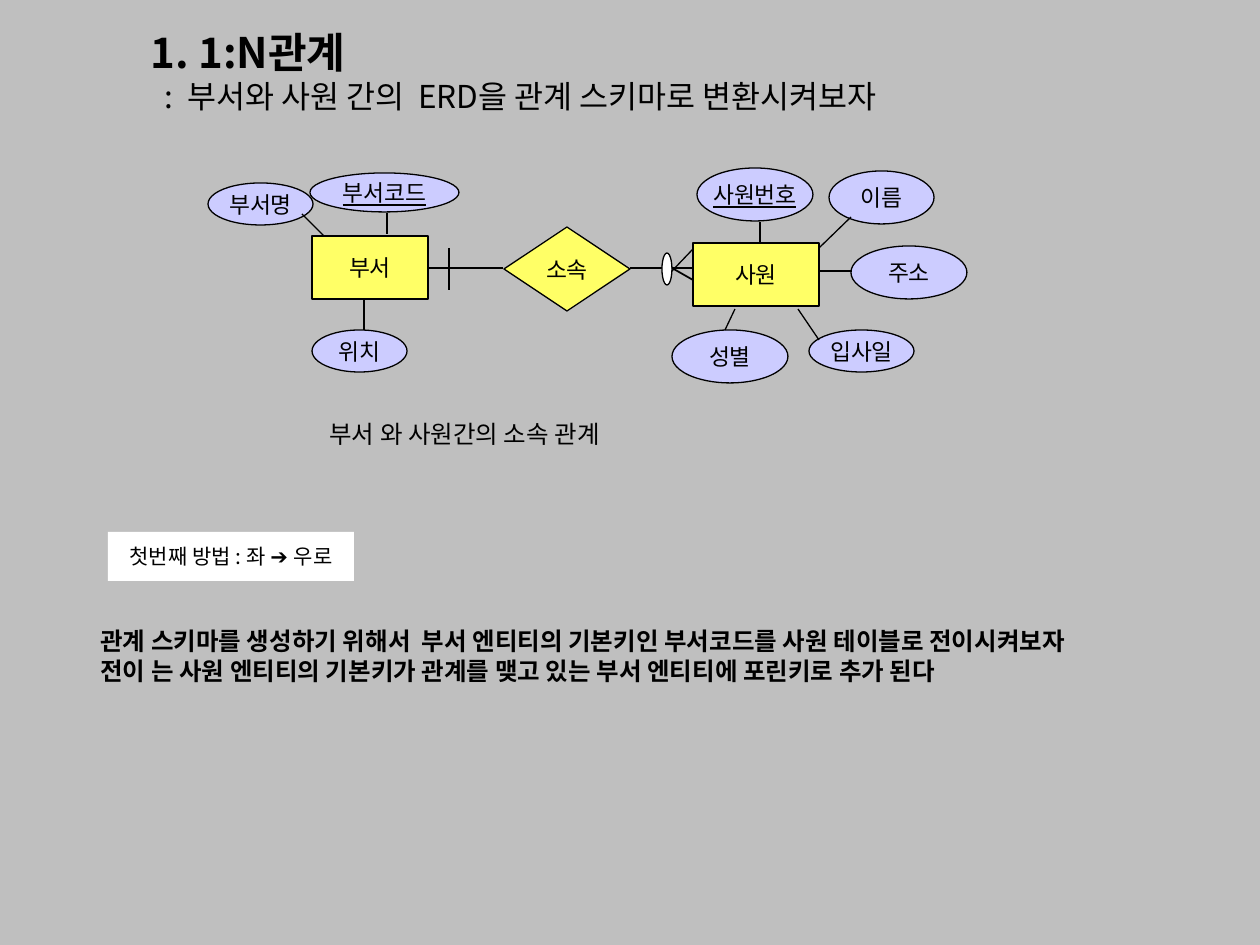
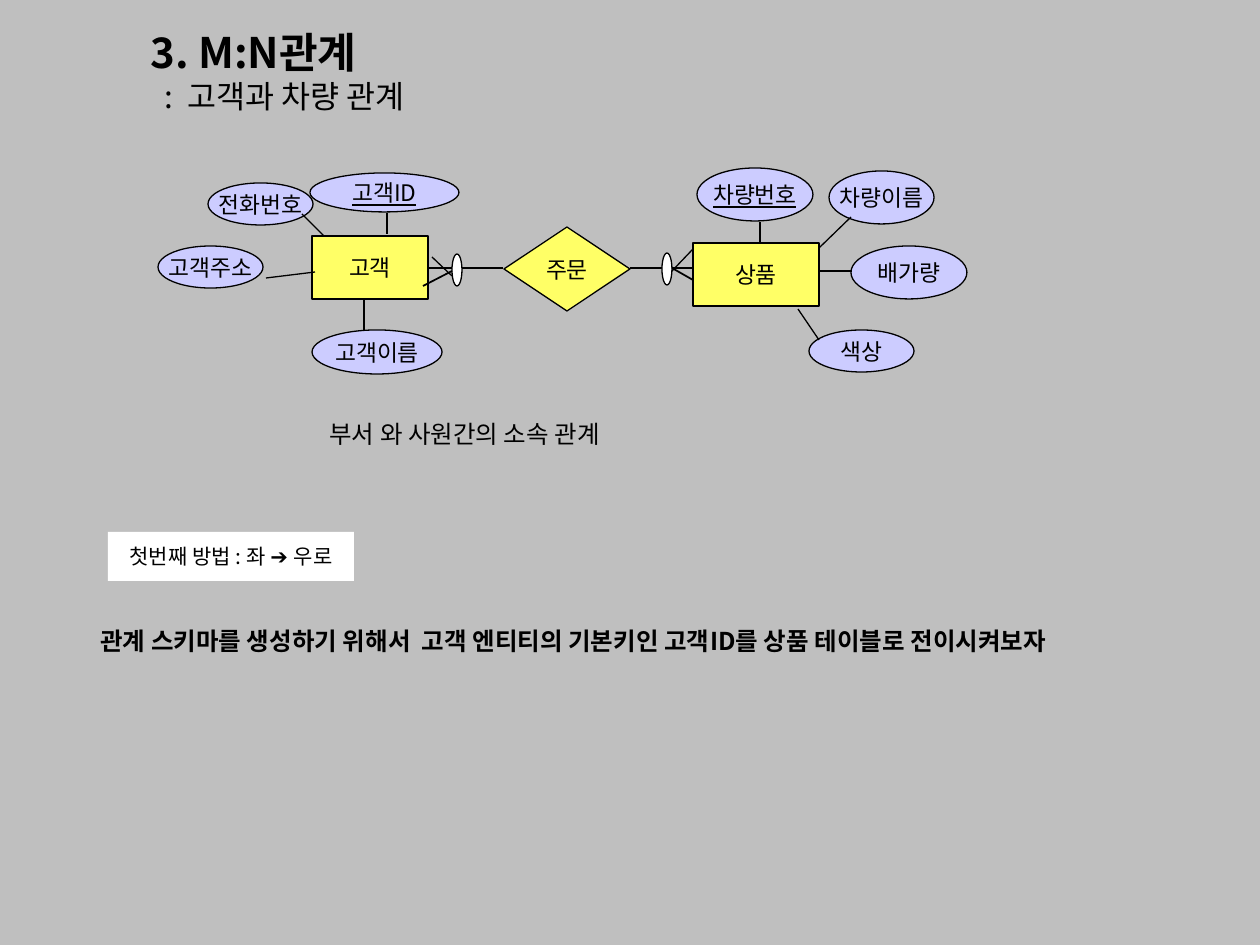
from lxml import etree
from pptx import Presentation
from pptx.dml.color import RGBColor
from pptx.enum.shapes import MSO_CONNECTOR, MSO_SHAPE
from pptx.enum.text import MSO_ANCHOR, MSO_AUTO_SIZE, PP_ALIGN
from pptx.oxml.ns import qn
from pptx.util import Emu, Pt

STRAIGHT = MSO_CONNECTOR.STRAIGHT
RECT = MSO_SHAPE.RECTANGLE
DIAMOND = MSO_SHAPE.DIAMOND
OVAL = MSO_SHAPE.OVAL
CENTER = PP_ALIGN.CENTER
MIDDLE = MSO_ANCHOR.MIDDLE
GROW = MSO_AUTO_SIZE.SHAPE_TO_FIT_TEXT

EMU_PER_PX = 914400 / 126
FONT = "Noto Sans CJK KR"
SYMBOL_FONT = "Arial"
COLORS = {
    "background": "BFBFBF",
    "ink": "000000",
    "entity": "FFFF66",
    "attribute": "CCCCFF",
    "white": "FFFFFF",
}

LEFT_ENTITY = (312, 236, 116, 63)
RIGHT_ENTITY = (693, 243, 126, 63)
RELATION = (504, 227, 126, 84)
RELATION_LINES = [(428, 268, 503, 268), (630, 268, 693, 268)]

SLOTS = {
    "left_key": ((310, 173, 149, 39), (387, 234, 387, 213)),
    "left_top": ((208, 183, 105, 42), (302, 214, 324, 236)),
    "left_side": ((158, 246, 105, 42), (266, 278, 315, 272)),
    "left_bottom": ((312, 330, 95, 42), (364, 299, 364, 330)),
    "left_bottom_wide": ((312, 330, 130, 44), (364, 299, 364, 330)),
    "right_key": ((697, 168, 116, 53), (760, 242, 760, 222)),
    "right_top": ((829, 171, 105, 53), (851, 217, 819, 248)),
    "right_side": ((851, 246, 116, 53), (820, 271, 852, 271)),
    "right_bottom": ((809, 330, 105, 42), (819, 340, 798, 309)),
    "right_bottom_left": ((672, 330, 116, 53), (725, 330, 735, 309)),
}
LEFT_MANY = ((452, 254, 10, 32), (423, 286, 452, 271), (452, 276, 432, 257))
RIGHT_MANY = ((662, 253, 10, 32), (672, 268, 693, 280), (693, 249, 672, 271))
ONE_BAR = (449, 248, 449, 290)

DEPARTMENT_ERD = {
    "title": "1. 1:N관계",
    "subtitle": ":  부서와 사원 간의  ERD을 관계 스키마로 변환시켜보자",
    "names": ("부서", "소속", "사원"),
    "attributes": {
        "right_side": "주소",
        "right_bottom_left": "성별",
        "right_top": "이름",
        "right_key": "사원번호",
        "right_bottom": "입사일",
        "left_top": "부서명",
        "left_key": "부서코드",
        "left_bottom": "위치",
    },
    "left_many": False,
    "notes": [
        "관계 스키마를 생성하기 위해서  부서 엔티티의 기본키인 부서코드를 사원 테이블로 전이시켜보자",
        "전이 는 사원 엔티티의 기본키가 관계를 맺고 있는 부서 엔티티에 포린키로 추가 된다",
    ],
}
CUSTOMER_ERD = {
    "title": "3. M:N관계",
    "subtitle": ":  고객과 차량 관계",
    "names": ("고객", "주문", "상품"),
    "attributes": {
        "right_side": "배가량",
        "right_top": "차량이름",
        "right_key": "차량번호",
        "right_bottom": "색상",
        "left_top": "전화번호",
        "left_key": "고객ID",
        "left_bottom_wide": "고객이름",
        "left_side": "고객주소",
    },
    "left_many": True,
    "notes": [
        "관계 스키마를 생성하기 위해서  고객 엔티티의 기본키인 고객ID를 상품 테이블로 전이시켜보자",
    ],
}


def px(value):
    return Emu(round(value * EMU_PER_PX))


def rgb(name):
    return RGBColor.from_string(COLORS[name])


def style_run(r, size, bold=False, underline=False, font=FONT):
    r.font.size = Pt(size)
    r.font.bold = bold
    r.font.underline = underline
    r.font.color.rgb = rgb("ink")
    r.font.name = font
    etree.SubElement(r.font._element, qn("a:ea")).set("typeface", font)


def add_text(s, box, lines):
    sp = s.shapes.add_textbox(*map(px, box))
    tf = sp.text_frame
    tf.word_wrap = True
    tf.auto_size = GROW
    for i, (text, size, bold, indent) in enumerate(lines):
        p = tf.add_paragraph() if i else tf.paragraphs[0]
        p.text = text
        p._p.get_or_add_pPr().set("marL", str(px(indent)))
        style_run(p.runs[0], size, bold)


def add_box(s, kind, box, fill, outlined=True):
    sp = s.shapes.add_shape(kind, *map(px, box))
    sp.shadow.inherit = False
    sp.fill.solid()
    sp.fill.fore_color.rgb = rgb(fill)
    if outlined:
        sp.line.color.rgb = rgb("ink")
        sp.line.width = Pt(0.75)
    else:
        sp.line.fill.background()
    tf = sp.text_frame
    tf.word_wrap = False
    tf.vertical_anchor = MIDDLE
    tf.paragraphs[0].alignment = CENTER
    return sp


def add_node(s, kind, box, fill, text, key=False):
    p = add_box(s, kind, box, fill).text_frame.paragraphs[0]
    p.text = text
    style_run(p.runs[0], 13, underline=key)


def add_line(s, ends, width=0.75):
    c = s.shapes.add_connector(STRAIGHT, *map(px, ends))
    c.line.color.rgb = rgb("ink")
    c.line.width = Pt(width)
    etree.SubElement(c._element.spPr, qn("a:effectLst"))


def add_many_end(s, circle, thick_toe, thin_toe):
    add_box(s, OVAL, circle, "white")
    add_line(s, thick_toe, 1)
    add_line(s, thin_toe)


def add_method_label(s):
    p = add_box(s, RECT, (108, 532, 246, 49), "white", False).text_frame.paragraphs[0]
    parts = [("첫번째 방법 : 좌 ", FONT), ("➔ ", SYMBOL_FONT), ("우로", FONT)]
    for text, font in parts:
        r = p.add_run()
        r.text = text
        style_run(r, 12, font=font)


def add_diagram(s, erd):
    left, relation, right = erd["names"]
    for ends in RELATION_LINES:
        add_line(s, ends)
    add_node(s, RECT, RIGHT_ENTITY, "entity", right)
    add_node(s, RECT, LEFT_ENTITY, "entity", left)
    add_node(s, DIAMOND, RELATION, "entity", relation)
    for slot, text in erd["attributes"].items():
        box, link = SLOTS[slot]
        add_node(s, OVAL, box, "attribute", text, slot.endswith("key"))
        add_line(s, link)
    add_many_end(s, *RIGHT_MANY)
    if erd["left_many"]:
        add_many_end(s, *LEFT_MANY)
    else:
        add_line(s, ONE_BAR)


def add_erd_slide(prs, erd):
    s = prs.slides.add_slide(prs.slide_layouts[6])
    s.background.fill.solid()
    s.background.fill.fore_color.rgb = rgb("background")
    add_text(s, (118, 20, 1079, 101), [(erd["title"], 24, True, 20), (erd["subtitle"], 18, False, 34)])
    add_method_label(s)
    add_text(s, (277, 413, 551, 43), [("부서 와 사원간의 소속 관계", 14, False, 40)])
    notes = erd["notes"]
    add_text(s, (88, 620, 1103, 14 + 29 * len(notes)), [(text, 14, True, 0) for text in notes])
    add_diagram(s, erd)


def main():
    prs = Presentation()
    prs.slide_width, prs.slide_height = px(1260), px(945)
    for erd in (DEPARTMENT_ERD, CUSTOMER_ERD):
        add_erd_slide(prs, erd)
    prs.save("out.pptx")


if __name__ == "__main__":
    main()
